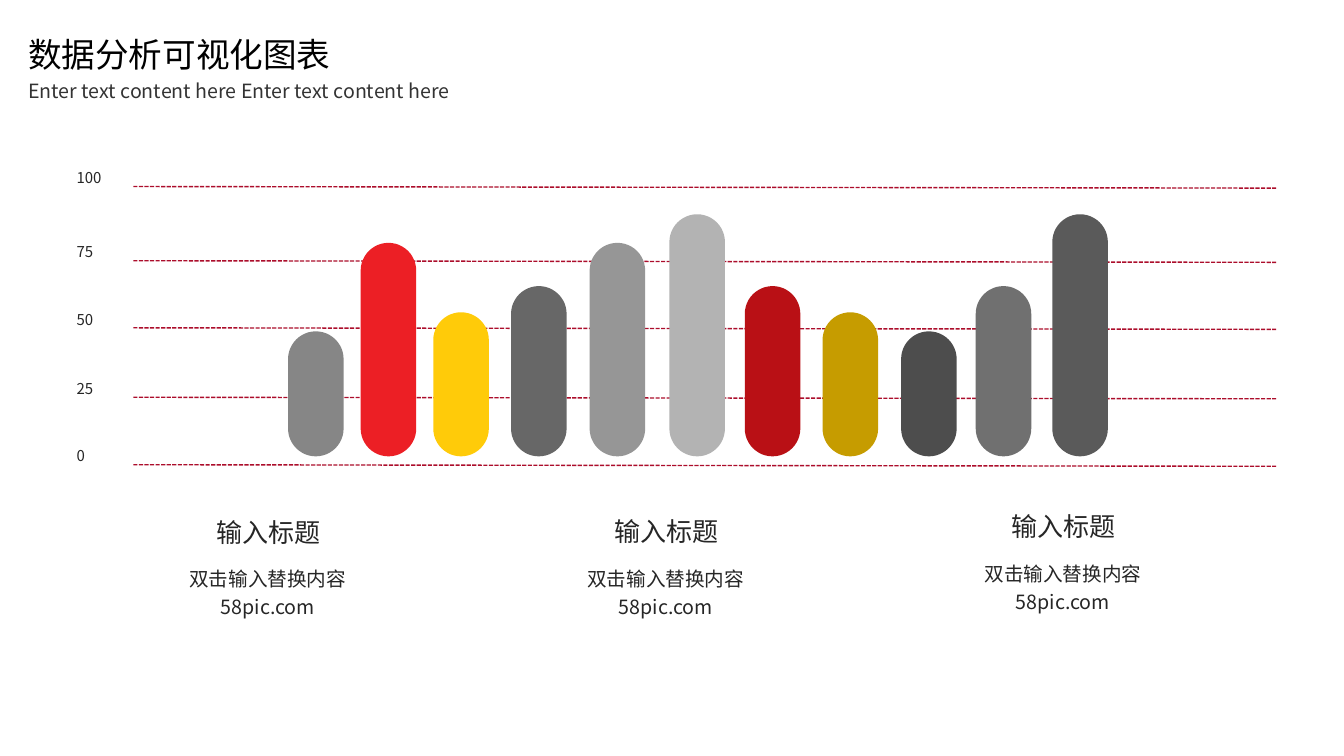
from lxml import etree
from pptx import Presentation, util as u
from pptx.dml.color import RGBColor
from pptx.enum import dml, shapes, text
from pptx.oxml import ns

FONT = "Noto Sans CJK JP"
HUES = {
    "title": "000000", "sub": "333333", "text": "262626", "grid": "AC0D2B",
    "red": "EC1F25", "wine": "B91015", "gold": "FFCB09", "ochre": "C69C00",
    "ash": "868686", "slate": "676767", "stone": "969696", "mist": "B3B3B3",
    "coal": "4D4D4D", "smoke": "707070", "lead": "5A5A5A",
}
GRID = [("100", 4.7), ("75", 6.57), ("50", 8.26), ("25", 10.01), ("0", 11.71)]
BARS = [
    (7.26, 3.15, "ash"), (9.09, 5.38, "red"), (10.92, 3.63, "gold"),
    (12.88, 4.29, "slate"), (14.86, 5.38, "stone"), (16.87, 6.1, "mist"),
    (18.77, 4.29, "wine"), (20.73, 3.63, "ochre"), (22.71, 3.15, "coal"),
    (24.59, 4.29, "smoke"), (26.52, 6.1, "lead"),
]
NOTES = [(3.35, 12.88), (13.38, 12.87), (23.39, 12.75)]


def shade(name):
    """Return the named colour."""
    return RGBColor.from_string(HUES[name])


def write(slide, box, words, size, hue="text", wrap=True, mid=False, lead=None):
    """Put one paragraph of text in a box given in centimetres."""
    frame = slide.shapes.add_textbox(*map(u.Cm, box)).text_frame
    frame.word_wrap = wrap
    frame.text = words
    para = frame.paragraphs[0]
    para.alignment = text.PP_ALIGN.CENTER if mid else text.PP_ALIGN.LEFT
    if lead:
        para.line_spacing = lead
    for run in para.runs:
        run.font.size = u.Pt(size)
        run.font.name = FONT
        run.font.color.rgb = shade(hue)
        etree.SubElement(run.font._element, ns.qn("a:ea"), typeface=FONT)


def head(slide, left, top):
    """Write the title and the line below it."""
    write(slide, (left, top, 9.6, 1.27), "数据分析可视化图表", 24, "title")
    write(slide, (left, top + 1.12, 15.85, 0.86),
          "Enter text content here Enter text content here", 14, "sub")


def rule(slide, left, top, wide):
    """Draw one dashed grid line with a slight fall."""
    line = slide.shapes.add_connector(
        shapes.MSO_CONNECTOR.STRAIGHT, u.Cm(left), u.Cm(top),
        u.Cm(left + wide), u.Cm(top + 0.04))
    line.line.color.rgb = shade("grid")
    line.line.width = u.Pt(1)
    line.line.dash_style = dml.MSO_LINE.SQUARE_DOT
    etree.SubElement(line._element.spPr, ns.qn("a:effectLst"))


def plot(slide, left, base, wide):
    """Draw the scale, its grid lines and the bars standing on the base."""
    for label, top in GRID:
        write(slide, (left, top - 0.57, 0.5 + 0.24 * len(label), 0.76),
              label, 10.7, wrap=False)
        rule(slide, left + 1.68, top, wide - 1.68)
    for place, tall, hue in BARS:
        bar = slide.shapes.add_shape(
            shapes.MSO_SHAPE.ROUNDED_RECTANGLE, u.Cm(place),
            u.Cm(base - tall), u.Cm(1.4), u.Cm(tall))
        bar.adjustments[0] = 0.5
        bar.shadow.inherit = False
        bar.fill.solid()
        bar.fill.fore_color.rgb = shade(hue)
        bar.line.fill.background()


def note(slide, left, top):
    """Write a heading with its centred text."""
    write(slide, (left + 1.44, top, 3.94, 1.27), "输入标题", 18.6,
          wrap=False, mid=True)
    write(slide, (left, top + 1.17, 6.8, 1.55), "双击输入替换内容58pic.com", 14,
          mid=True, lead=1.2)


def main():
    """Build and save the slide."""
    deck = Presentation()
    deck.slide_width, deck.slide_height = u.Cm(33.87), u.Cm(19.05)
    slide = deck.slides.add_slide(deck.slide_layouts[6])
    plot(slide, 1.68, 11.5, 30.48)
    for left, top in NOTES:
        note(slide, left, top)
    head(slide, 0.46, 0.74)
    deck.save("out.pptx")


if __name__ == "__main__":
    main()
